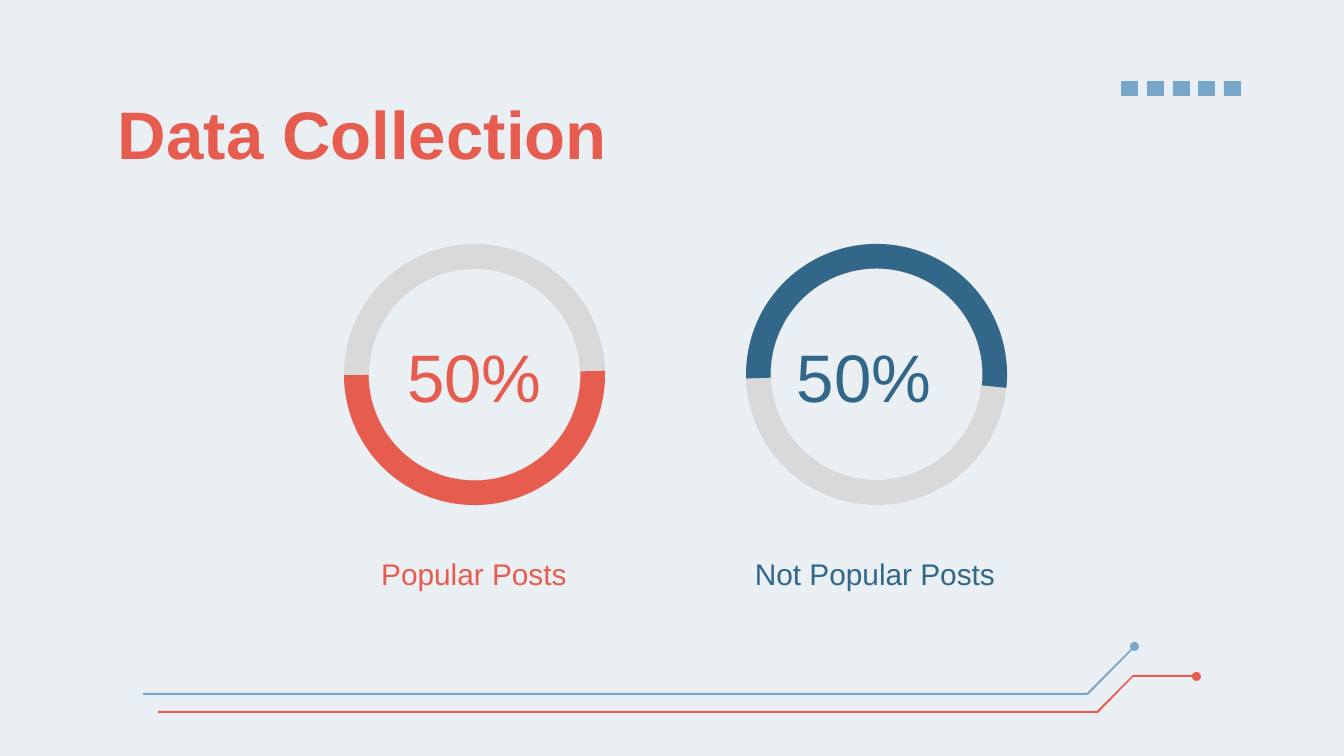
from dataclasses import dataclass

from pptx import Presentation
from pptx.dml.color import RGBColor
from pptx.enum.shapes import MSO_SHAPE
from pptx.enum.text import MSO_ANCHOR, PP_ALIGN
from pptx.util import Emu, Pt

RECTANGLE, OVAL = MSO_SHAPE.RECTANGLE, MSO_SHAPE.OVAL
DONUT, BLOCK_ARC = MSO_SHAPE.DONUT, MSO_SHAPE.BLOCK_ARC
TOP, MIDDLE = MSO_ANCHOR.TOP, MSO_ANCHOR.MIDDLE
LEFT, CENTER = PP_ALIGN.LEFT, PP_ALIGN.CENTER

EMU_PER_PX = 914400 / 134.4
SLIDE_SIZE = (1344, 756)
INSET = 13
RING_TOP, RING_SIZE = 244, 261
ARC_UNITS_PER_DEGREE = 0.6


@dataclass(frozen=True)
class Theme:
    font: str = "Arial"
    background: str = "EAEFF3"
    red: str = "E65C4F"
    navy: str = "33678A"
    sky: str = "78A6C9"
    track: str = "D9D9D9"
    large: int = 36
    label: int = 16


THEME = Theme()


def px(length):
    return Emu(round(length * EMU_PER_PX))


def paint(shape, color):
    shape.shadow.inherit = False
    shape.fill.solid()
    shape.fill.fore_color.rgb = RGBColor.from_string(color)
    shape.line.fill.background()


def add_preset(slide, kind, box, color, adjustments=(), rotation=0):
    shape = slide.shapes.add_shape(kind, *map(px, box))
    for index, value in enumerate(adjustments):
        shape.adjustments[index] = value
    shape.rotation = rotation
    paint(shape, color)


def add_text(slide, text, box, color, size, bold=False, align=CENTER, anchor=TOP):
    frame = slide.shapes.add_textbox(*map(px, box)).text_frame
    frame_format = {"word_wrap": True, "vertical_anchor": anchor}
    for side in ("left", "right", "top", "bottom"):
        frame_format[f"margin_{side}"] = px(INSET)
    for name, value in frame_format.items():
        setattr(frame, name, value)
    paragraph = frame.paragraphs[0]
    paragraph.text = text
    paragraph.alignment = align
    font_format = {"name": THEME.font, "size": Pt(size), "bold": bold}
    for name, value in font_format.items():
        setattr(paragraph.font, name, value)
    paragraph.font.color.rgb = RGBColor.from_string(color)


def add_circuit_trace(slide, outline, node, color):
    """Draw a thin bent band that ends in a round node."""
    builder = slide.shapes.build_freeform(*outline[0], scale=EMU_PER_PX)
    builder.add_line_segments(outline[1:], close=True)
    paint(builder.convert_to_shape(), color)
    add_preset(slide, OVAL, (*node, 9, 9), color)


def add_square_row(slide):
    for index in range(5):
        left = 1121 + round(index * 25.75)
        add_preset(slide, RECTANGLE, (left, 81, 17, 15), THEME.sky)


def add_ring(slide, left, color, start, end, rotation):
    """Draw a grey ring with a coloured arc between two angles in degrees."""
    box = (left, RING_TOP, RING_SIZE, RING_SIZE)
    arc = (start * ARC_UNITS_PER_DEGREE, end * ARC_UNITS_PER_DEGREE, 0.094)
    add_preset(slide, DONUT, box, THEME.track, (0.096,), rotation)
    add_preset(slide, BLOCK_ARC, box, color, arc, rotation)


def main():
    presentation = Presentation()
    presentation.slide_width, presentation.slide_height = map(px, SLIDE_SIZE)
    slide = presentation.slides.add_slide(presentation.slide_layouts[6])
    background = slide.background.fill
    background.solid()
    background.fore_color.rgb = RGBColor.from_string(THEME.background)

    red_outline = [(1133, 675), (1097, 711), (158, 711), (158, 713),
                   (1098, 713), (1133, 677), (1196, 677), (1196, 675)]
    sky_outline = [(1134, 646), (1087, 693), (143, 693), (143, 695),
                   (1088, 695), (1136, 646)]
    add_circuit_trace(slide, red_outline, (1192, 672), THEME.red)
    add_circuit_trace(slide, sky_outline, (1130, 642), THEME.sky)
    add_square_row(slide)
    add_text(slide, "Data Collection", (105, 79, 1141, 90), THEME.red,
             THEME.large, bold=True, align=LEFT)

    add_ring(slide, 344, THEME.red, 178.3, 359.75, rotation=180)
    add_ring(slide, 746, THEME.navy, 178.25, 5.9, rotation=0)

    groups = [
        ("Popular Posts", 335, 383, CENTER, THEME.red),
        ("Not Popular Posts", 736, 784, LEFT, THEME.navy),
    ]
    for label, label_left, share_left, share_align, color in groups:
        add_text(slide, label, (label_left, 543, 278, 66), color, THEME.label)
        add_text(slide, "50%", (share_left, 343, 183, 65), color, THEME.large,
                 align=share_align, anchor=MIDDLE)

    presentation.save("out.pptx")


if __name__ == "__main__":
    main()
